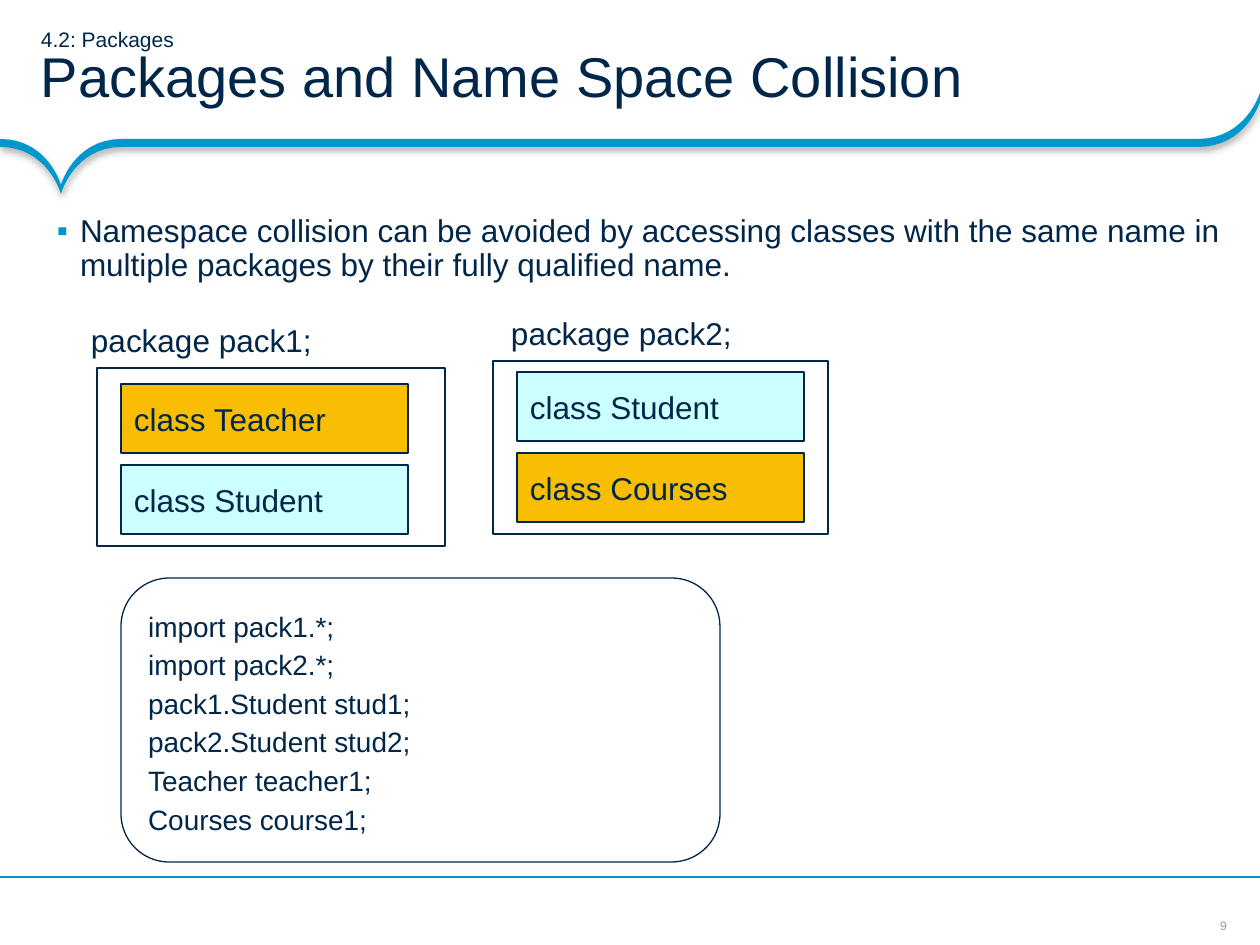
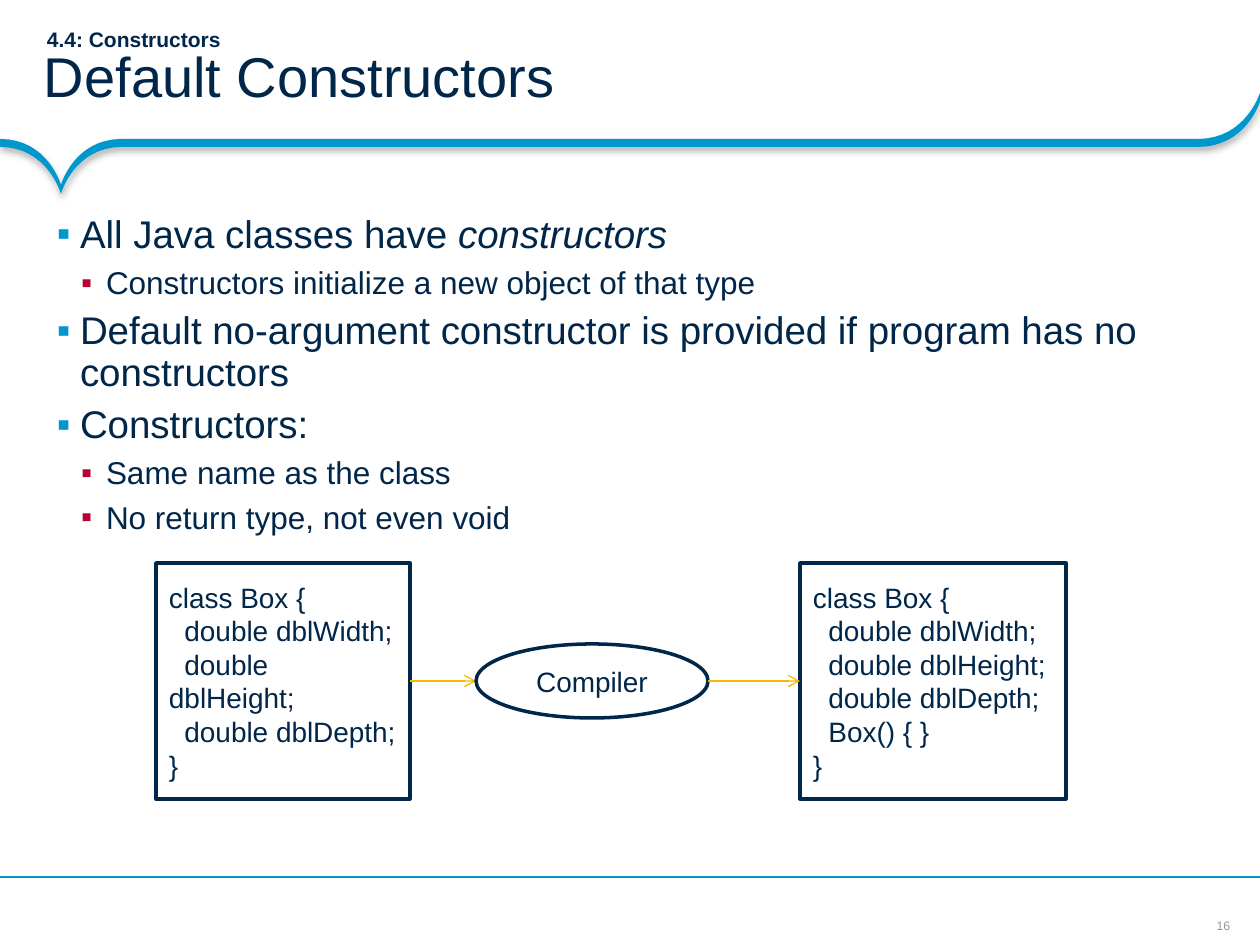
from lxml.etree import SubElement
from pptx import Presentation
from pptx.dml.color import RGBColor
from pptx.enum.shapes import MSO_CONNECTOR, MSO_SHAPE
from pptx.enum.text import MSO_ANCHOR, PP_ALIGN
from pptx.oxml.ns import qn
from pptx.util import Pt

SCALE = 914400 / 126
FONT = "Arial"
NAVY, BLUE, RED, GREY = "00264A", "0098CC", "B70132", "9F958F"
GOLD, ORANGE, CYAN, WHITE = "F4BA00", "F9BE01", "CCFFFF", "FFFFFF"
# bullet level: left margin, hanging indent, bullet colour, text size
LEVELS = [(23, -23, BLUE, 22), (49, -25, RED, 18)]


def emu(px):
    return round(px * SCALE)


def color(value):
    return RGBColor.from_string(value)


def child(parent, tag, **attributes):
    return SubElement(parent, qn(tag), {key: str(value) for key, value in attributes.items()})


def add_run(para, text, size, ink=NAVY, bold=False, italic=False):
    span = para.add_run()
    span.text = text
    span.font.name = FONT
    span.font.size = Pt(size)
    span.font.bold = bold
    span.font.italic = italic
    span.font.color.rgb = color(ink)


def set_indent(para, margin, first_line=0):
    properties = para._p.get_or_add_pPr()
    properties.set("marL", str(emu(margin)))
    properties.set("indent", str(emu(first_line)))
    return properties


def prepare_frame(shape, insets=(13, 6, 13, 6), anchor=MSO_ANCHOR.MIDDLE, wrap=True):
    frame = shape.text_frame
    frame.word_wrap = wrap
    frame.vertical_anchor = anchor
    (frame.margin_left, frame.margin_top,
     frame.margin_right, frame.margin_bottom) = map(emu, insets)
    return frame


def next_para(frame, index):
    para = frame.add_paragraph() if index else frame.paragraphs[0]
    para.alignment = PP_ALIGN.LEFT
    return para


def add_text_box(page, place, **frame_options):
    return prepare_frame(page.shapes.add_textbox(*map(emu, place)), **frame_options)


def add_box(page, kind, place, fill=None, line_width=0.75):
    shape = page.shapes.add_shape(kind, *map(emu, place))
    shape.shadow.inherit = False
    if fill:
        shape.fill.solid()
        shape.fill.fore_color.rgb = color(fill)
    else:
        shape.fill.background()
    shape.line.color.rgb = color(NAVY)
    shape.line.width = Pt(line_width)
    return shape


def add_lines(frame, lines, size, spacing=1.0, align=PP_ALIGN.LEFT):
    """Each line is a text, or a pair of text and first-line indent."""
    for index, line in enumerate(lines):
        text, first_line = (line, 0) if isinstance(line, str) else line
        para = next_para(frame, index)
        para.alignment = align
        para.line_spacing = spacing
        set_indent(para, 0, first_line)
        add_run(para, text, size)


def add_line(page, start, end, ink, arrow=False):
    line = page.shapes.add_connector(MSO_CONNECTOR.STRAIGHT, *map(emu, start + end))
    line.line.color.rgb = color(ink)
    line.line.width = Pt(0.75)
    if arrow:
        child(line.line._get_or_add_ln(), "a:tailEnd", type="arrow")
    child(line._element.spPr, "a:effectLst")


def curve(start, first, second, end, steps=16):
    """Points along a cubic curve, both ends included."""
    points = []
    for step in range(steps + 1):
        t = step / steps
        weights = ((1 - t) ** 3, 3 * t * (1 - t) ** 2, 3 * t * t * (1 - t), t ** 3)
        corners = (start, first, second, end)
        points.append(tuple(sum(w * corner[axis] for w, corner in zip(weights, corners))
                            for axis in (0, 1)))
    return points


def add_header_band(page):
    tip, lower_tip = (61, 185), (61, 194)
    points = [
        *curve((122, 139), (74, 139), tip, tip),
        *curve(tip, tip, (48, 139), (0, 139)),
        *curve((0, 147), (48, 147), lower_tip, lower_tip),
        *curve(lower_tip, lower_tip, (74, 147), (122, 147)),
        *curve((1198, 147), (1246, 147), (1260, 102), (1260, 102)),
        *curve((1260, 93), (1260, 93), (1246, 139), (1198, 139)),
    ]
    outline = [(emu(x), emu(y)) for x, y in points]
    builder = page.shapes.build_freeform(*outline[0], scale=1.0)
    builder.add_line_segments(outline[1:], close=True)
    band = builder.convert_to_shape()
    band.fill.solid()
    band.fill.fore_color.rgb = color(BLUE)
    band.line.fill.background()
    effects = child(band._element.spPr, "a:effectLst")
    shadow = child(effects, "a:outerShdw", blurRad=Pt(4), dist=Pt(2), dir=5400000,
                   algn="t", rotWithShape=0)
    child(child(shadow, "a:srgbClr", val="000000"), "a:alpha", val=31000)


def add_title(page, section, title, section_left, title_left, bold_section):
    frame = add_text_box(page, (0, 0, 1260, 139), insets=(0, 6, 13, 6))
    rows = [(section, 12, section_left, bold_section), (title, 32, title_left, False)]
    for index, (text, size, left, bold) in enumerate(rows):
        para = next_para(frame, index)
        para.line_spacing = 0.85
        set_indent(para, left)
        add_run(para, text, size, bold=bold)


def add_page(deck, number, *title):
    page = deck.slides.add_slide(deck.slide_layouts[6])
    frame = add_text_box(page, (1216, 918, 15, 15), insets=(0, 0, 0, 0), wrap=False)
    para = next_para(frame, 0)
    para.alignment = PP_ALIGN.CENTER
    add_run(para, number, 7, GREY)
    add_header_band(page)
    add_line(page, (1260, 877), (0, 877), BLUE)
    add_title(page, *title)
    return page


def add_bullets(page, bullets, top_size=22):
    """Each bullet is its level followed by its runs; every second run is italic."""
    frame = add_text_box(page, (42, 205, 1218, 640), insets=(15, 10, 10, 10),
                         anchor=MSO_ANCHOR.TOP)
    for index, (level, *texts) in enumerate(bullets):
        margin, hanging, ink, size = LEVELS[level]
        para = next_para(frame, index)
        para.level = level
        para.line_spacing = 0.9
        para.space_after = Pt(6)
        properties = set_indent(para, margin, hanging)
        child(child(properties, "a:buClr"), "a:srgbClr", val=ink)
        child(properties, "a:buFont", typeface=FONT)
        child(properties, "a:buChar", char="▪")
        for position, text in enumerate(texts):
            add_run(para, text, size if level else top_size, italic=position % 2 == 1)


def add_package(page, name, label_left, place, classes):
    left, top, width, height = place
    add_box(page, MSO_SHAPE.RECTANGLE, place)
    label = add_text_box(page, (label_left, top - 53, 248, 50), anchor=MSO_ANCHOR.TOP,
                         wrap=False)
    add_lines(label, [f"package {name};"], 18)
    for row, class_name in enumerate(reversed(classes)):
        fill = CYAN if class_name == "Student" else ORANGE
        class_top = top + height - 81 - 81 * row
        box = add_box(page, MSO_SHAPE.RECTANGLE, (left + 24, class_top, 287, 69), fill)
        add_lines(prepare_frame(box), [f"class {class_name}"], 18)


def add_class_code(page, left, width, members):
    box = add_box(page, MSO_SHAPE.RECTANGLE, (left, 563, width, 236), WHITE, 2)
    lines = ["class Box {", *((member, 15.5) for member in members), "}"]
    add_lines(prepare_frame(box), lines, 16)


def build_collision_page(deck):
    page = add_page(deck, "9", "4.2: Packages", "Packages and Name Space Collision",
                    41, 41, False)
    add_bullets(page, [(0, "Namespace collision can be avoided by accessing classes with the "
                           "same name in multiple packages by their fully qualified name.")],
                top_size=18)
    add_package(page, "pack1", 78, (97, 368, 348, 178), ["Teacher", "Student"])
    add_package(page, "pack2", 498, (493, 361, 335, 173), ["Student", "Courses"])
    usage = add_box(page, MSO_SHAPE.ROUNDED_RECTANGLE, (121, 578, 599, 284))
    usage.adjustments[0] = 0.17
    add_lines(prepare_frame(usage),
              ["import pack1.*;", "import pack2.*;", "pack1.Student stud1;",
               "pack2.Student stud2;", "Teacher teacher1;", "Courses course1;"],
              16, spacing=1.15)


def build_constructors_page(deck):
    page = add_page(deck, "16", "4.4: Constructors", "Default Constructors", 47, 44, True)
    add_bullets(page, [
        (0, "All Java classes have ", "constructors"),
        (1, "Constructors initialize a new object of that type"),
        (0, "Default no-argument constructor is provided if program has no constructors"),
        (0, "Constructors:"),
        (1, "Same name as the class"),
        (1, "No return type, not even void"),
    ])
    fields = ["double dblWidth;", "double dblHeight;", "double dblDepth;"]
    add_class_code(page, 156, 254, fields)
    add_line(page, (410, 681), (476, 681), GOLD, arrow=True)
    compiler = add_box(page, MSO_SHAPE.OVAL, (476, 644, 232, 74), WHITE, 2)
    add_lines(prepare_frame(compiler), ["Compiler"], 16, align=PP_ALIGN.CENTER)
    add_class_code(page, 800, 266, fields + ["Box() { }"])
    add_line(page, (708, 681), (800, 681), GOLD, arrow=True)


def main():
    deck = Presentation()
    deck.slide_width, deck.slide_height = emu(1260), emu(945)
    build_collision_page(deck)
    build_constructors_page(deck)
    deck.save("out.pptx")


if __name__ == "__main__":
    main()
